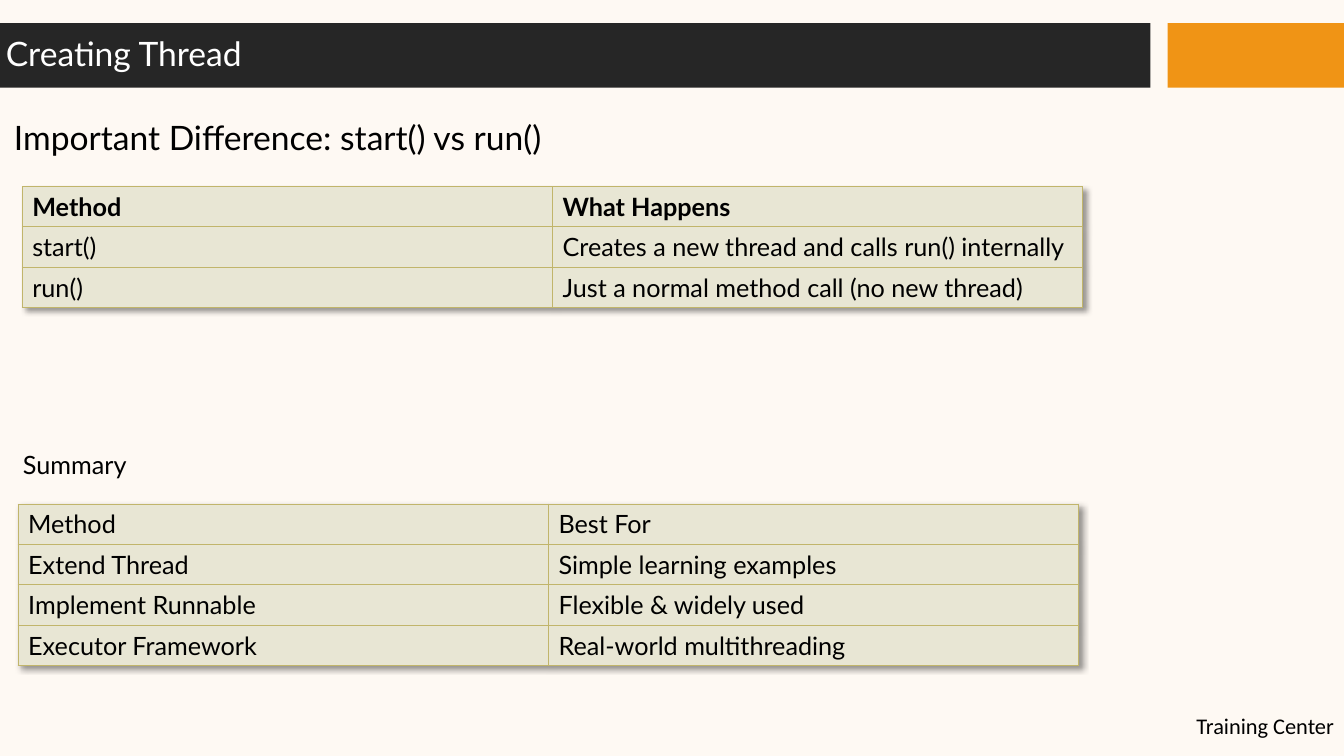
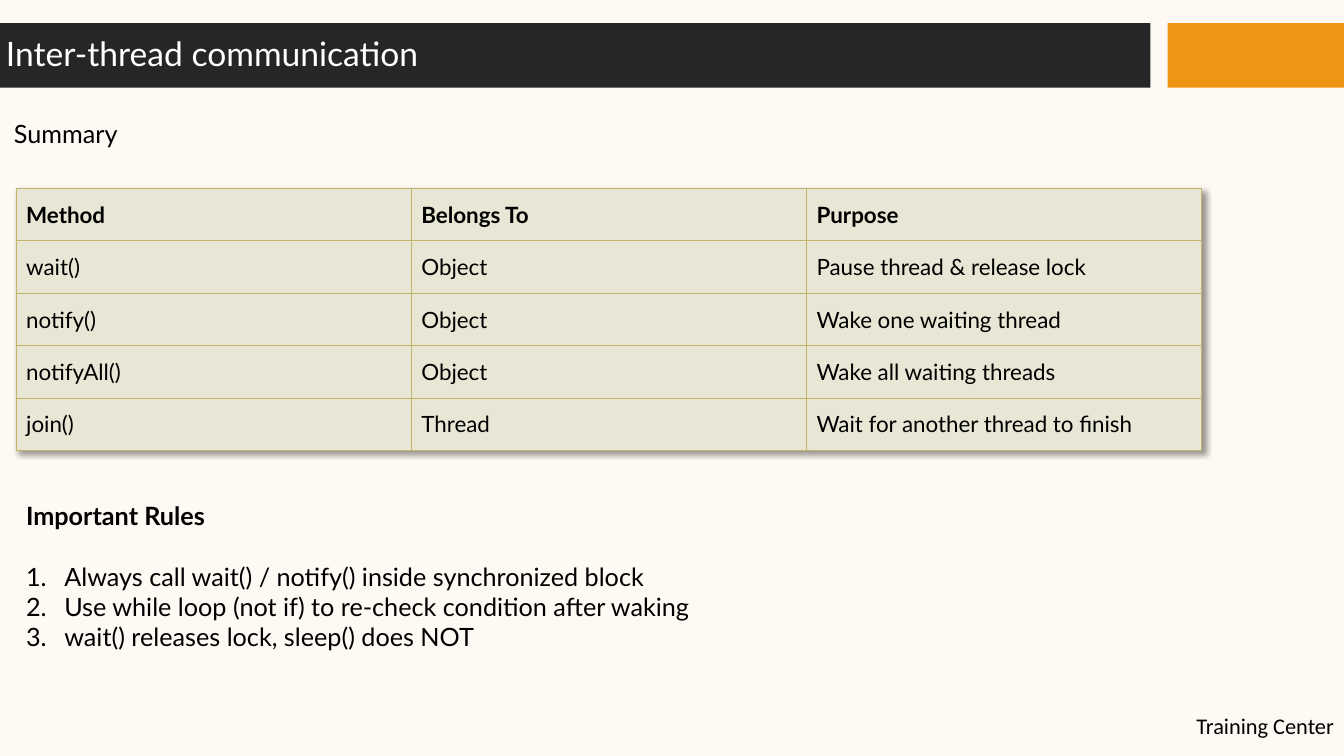
from lxml import etree
from pptx import Presentation
from pptx import util as u
from pptx.dml.color import RGBColor
from pptx.enum import shapes, text
from pptx.oxml.ns import qn

EMU_PER_PX = 9144
SLIDE_SIZE = (1333, 750)
COLORS = {
    "page": "FEF9F3",
    "band": "262626",
    "accent": "F09415",
    "title": "FFFFFF",
    "ink": "000000",
    "cell": "E8E6D4",
    "grid": "C1B56B",
}
TITLE_SIZE, HEADING_SIZE, BODY_SIZE, FOOTER_SIZE = 24, 24, 18, 16
FOOTER_WORDS = "Training Center"


def px(length):
    return u.Emu(length * EMU_PER_PX)


def rgb(color):
    return RGBColor.from_string(COLORS[color])


def apply(target, values):
    for attribute, value in values.items():
        setattr(target, attribute, value)


def add_xml(parent, tag, **attributes):
    return etree.SubElement(parent, qn(tag), attributes)


def add_run(paragraph, words, size, color="ink", face="Lato", bold=False):
    run = paragraph.add_run()
    run.text = words
    apply(run.font, {"size": u.Pt(size), "name": face, "bold": bold})
    run.font.color.rgb = rgb(color)


def add_band(slide, left, width, color):
    band = slide.shapes.add_shape(
        shapes.MSO_SHAPE.RECTANGLE, px(left), px(23), px(width), px(64))
    band.shadow.inherit = False
    band.fill.solid()
    band.fill.fore_color.rgb = rgb(color)
    band.line.fill.background()


def add_frame(slide, box, anchor=text.MSO_ANCHOR.TOP):
    frame = slide.shapes.add_textbox(*map(px, box)).text_frame
    apply(frame, {"word_wrap": True, "vertical_anchor": anchor})
    return frame


def add_line(slide, box, words, size, color="ink", spacing=1.0,
             anchor=text.MSO_ANCHOR.TOP):
    paragraph = add_frame(slide, box, anchor).paragraphs[0]
    paragraph.line_spacing = spacing
    add_run(paragraph, words, size, color)


def add_footer(slide):
    frame = add_frame(slide, (1033, 700, 300, 40), text.MSO_ANCHOR.MIDDLE)
    footer = frame.paragraphs[0]
    footer.alignment = text.PP_ALIGN.RIGHT
    add_run(footer, FOOTER_WORDS, FOOTER_SIZE, face="Calibri")


def add_page(deck, title):
    slide = deck.slides.add_slide(deck.slide_layouts[6])
    slide.background.fill.solid()
    slide.background.fill.fore_color.rgb = rgb("page")
    add_band(slide, 0, 1141, "band")
    add_band(slide, 1158, 175, "accent")
    add_line(slide, (-4, -4, 1051, 118), title, TITLE_SIZE, "title", 0.9,
             text.MSO_ANCHOR.MIDDLE)
    add_footer(slide)
    return slide


def add_table_shadow(table):
    effects = etree.Element(qn("a:effectLst"))
    shadow = add_xml(effects, "a:outerShdw", blurRad="50800", dist="38100",
                     dir="2700000", algn="tl", rotWithShape="0")
    tint = add_xml(shadow, "a:srgbClr", val=COLORS["ink"])
    add_xml(tint, "a:alpha", val="40000")
    table._tbl.tblPr.insert(0, effects)


def add_cell_borders(cell):
    properties = cell._tc.get_or_add_tcPr()
    for side in ("L", "R", "T", "B"):
        border = add_xml(properties, f"a:ln{side}", w=str(u.Pt(0.75)))
        fill = add_xml(border, "a:solidFill")
        add_xml(fill, "a:srgbClr", val=COLORS["grid"])


def add_grid(slide, left, top, column_width, row_height, rows, size,
             bold_header=True):
    columns = len(rows[0])
    table = slide.shapes.add_table(
        len(rows), columns, px(left), px(top), px(column_width * columns),
        px(row_height * len(rows))).table
    apply(table, {"first_row": False, "horz_banding": False})
    add_table_shadow(table)
    for row_index, row in enumerate(rows):
        for column_index, words in enumerate(row):
            cell = table.cell(row_index, column_index)
            add_cell_borders(cell)
            cell.fill.solid()
            cell.fill.fore_color.rgb = rgb("cell")
            cell.vertical_anchor = text.MSO_ANCHOR.MIDDLE
            add_run(cell.text_frame.paragraphs[0], words, size,
                    bold=bold_header and row_index == 0)


def add_numbered_list(slide, box, heading, items):
    frame = add_frame(slide, box)
    frame.paragraphs[0].space_after = u.Pt(22)
    add_run(frame.paragraphs[0], heading, BODY_SIZE, bold=True)
    for words in items:
        item = frame.add_paragraph()
        properties = item._p.get_or_add_pPr()
        properties.set("marL", str(px(38)))
        properties.set("indent", str(px(-38)))
        add_xml(properties, "a:buFont", typeface="+mj-lt")
        add_xml(properties, "a:buAutoNum", type="arabicPeriod")
        add_run(item, words, BODY_SIZE)


def build_creating_thread(deck):
    slide = add_page(deck, "Creating Thread")
    add_line(slide, (4, 116, 1289, 60),
             "Important Difference: start() vs run()", HEADING_SIZE,
             spacing=0.9)
    add_grid(slide, 22, 185, 526, 40, [
        ("Method", "What Happens"),
        ("start()", "Creates a new thread and calls run() internally"),
        ("run()", "Just a normal method call (no new thread)"),
    ], BODY_SIZE)
    add_line(slide, (13, 441, 277, 40), "Summary", BODY_SIZE)
    add_grid(slide, 18, 500, 526, 40, [
        ("Method", "Best For"),
        ("Extend Thread", "Simple learning examples"),
        ("Implement Runnable", "Flexible & widely used"),
        ("Executor Framework", "Real-world multithreading"),
    ], BODY_SIZE, bold_header=False)


def build_inter_thread(deck):
    slide = add_page(deck, "Inter-thread communication")
    add_line(slide, (4, 116, 1289, 50), "Summary", BODY_SIZE, spacing=0.9)
    add_grid(slide, 16, 187, 392, 52, [
        ("Method", "Belongs To", "Purpose"),
        ("wait()", "Object", "Pause thread & release lock"),
        ("notify()", "Object", "Wake one waiting thread"),
        ("notifyAll()", "Object", "Wake all waiting threads"),
        ("join()", "Thread", "Wait for another thread to finish"),
    ], 16)
    add_numbered_list(slide, (16, 491, 758, 192), "Important Rules", [
        "Always call wait() / notify() inside synchronized block",
        "Use while loop (not if) to re-check condition after waking",
        "wait() releases lock, sleep() does NOT",
    ])


def main():
    deck = Presentation()
    width, height = map(px, SLIDE_SIZE)
    apply(deck, {"slide_width": width, "slide_height": height})
    build_creating_thread(deck)
    build_inter_thread(deck)
    deck.save("out.pptx")


if __name__ == "__main__":
    main()
